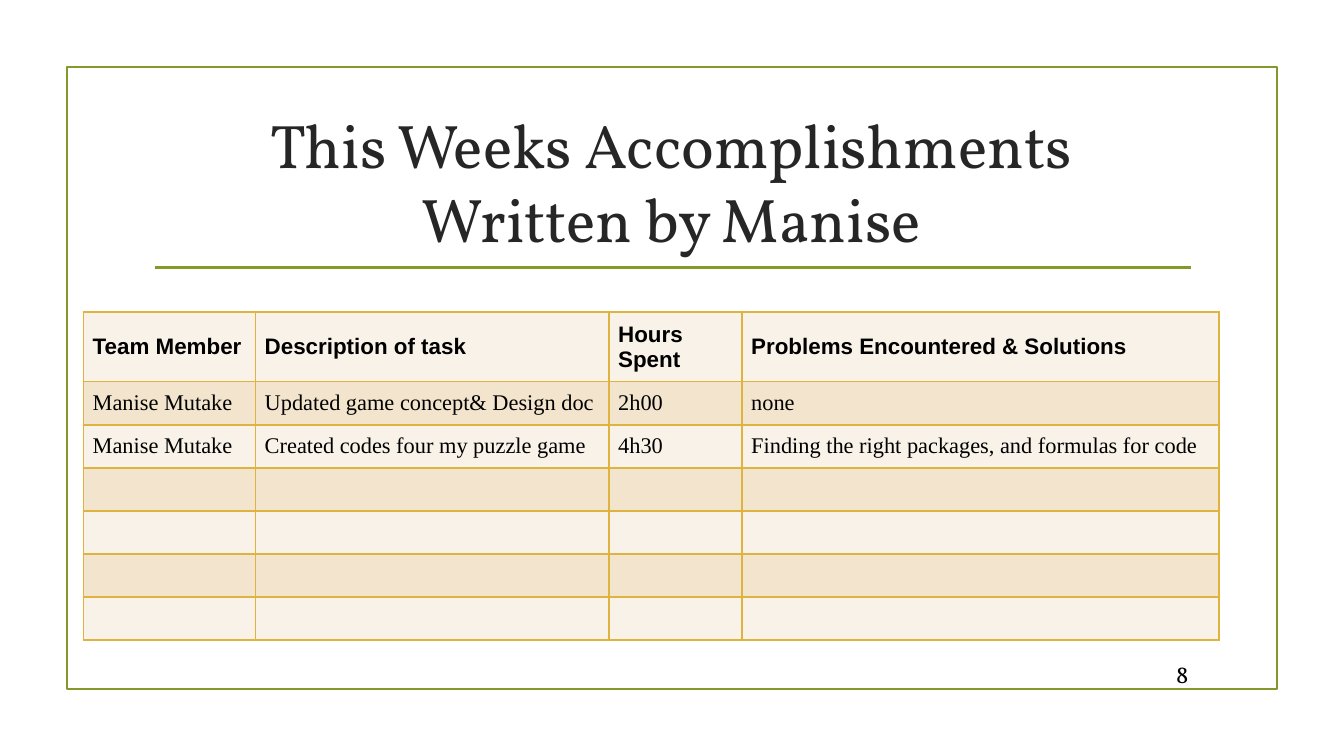
from pptx import Presentation
from pptx.dml.color import RGBColor as RGB
from pptx.enum.shapes import MSO_CONNECTOR as Conn, MSO_SHAPE as Form
from pptx.enum.text import MSO_ANCHOR as Anchor, MSO_AUTO_SIZE as Fit, PP_ALIGN as Align
from pptx.oxml.xmlchemy import OxmlElement as Node
from pptx.util import Inches, Pt

HUES = {"green": "83992A", "gold": "DEB340", "ink": "262626",
        "black": "000000", "light": "F9F2E8", "dark": "F2E4CD"}


def hue(name):
    return RGB.from_string(HUES[name])


class Page:
    serif, head, body = "Vollkorn", "Arial", "Times New Roman"

    def __init__(self, deck):
        self.slide = deck.slides.add_slide(deck.slide_layouts[5])
        self.shapes = self.slide.shapes

    def style(self, para, face, size, color, bold=False, align=Align.LEFT):
        font = para.font
        font.name, font.size, font.bold = face, Pt(size), bold
        font.color.rgb = hue(color)
        para.alignment = align

    def place(self, shape, box):
        shape.left, shape.top, shape.width, shape.height = map(Inches, box)

    def frame(self, *box):
        rect = self.shapes.add_shape(Form.RECTANGLE, *map(Inches, box))
        rect.shadow.inherit = False
        rect.fill.background()
        rect.line.color.rgb = hue("green")
        rect.line.width = Pt(1.25)

    def rule(self, *ends):
        line = self.shapes.add_connector(Conn.STRAIGHT, *map(Inches, ends))
        line.line.color.rgb = hue("green")
        line.line.width = Pt(1.25)
        line._element.spPr.append(Node("a:effectLst"))

    def title(self, text, *box):
        shape = self.shapes.title
        self.place(shape, box)
        frame = shape.text_frame
        frame.text = text
        frame.auto_size, frame.vertical_anchor = Fit.NONE, Anchor.MIDDLE
        self.style(frame.paragraphs[0], self.serif, 33, "ink", align=Align.CENTER)

    def label(self, text, *box):
        frame = self.shapes.add_textbox(*map(Inches, box)).text_frame
        frame.word_wrap, frame.vertical_anchor = True, Anchor.MIDDLE
        frame.text = text
        self.style(frame.paragraphs[0], self.serif, 13, "black", align=Align.RIGHT)

    def border(self, cell):
        props = cell._tc.get_or_add_tcPr()
        for spot, side in enumerate(("lnL", "lnR", "lnT", "lnB")):
            line, fill, tint = (Node("a:" + tag) for tag in (side, "solidFill", "srgbClr"))
            line.set("w", str(Pt(1)))
            tint.set("val", HUES["gold"])
            fill.append(tint)
            line.append(fill)
            props.insert(spot, line)

    def cell(self, cell, text, face, bold, fill):
        cell.text = text
        cell.vertical_anchor = Anchor.MIDDLE
        cell.margin_left = cell.margin_right = Inches(0.07)
        cell.margin_top = cell.margin_bottom = Inches(0.06)
        cell.fill.solid()
        cell.fill.fore_color.rgb = hue(fill)
        self.border(cell)
        para = cell.text_frame.paragraphs[0]
        self.style(para, face, 12, "black", bold)
        if not text:  # keeps empty rows low
            end = Node("a:endParaRPr")
            end.set("sz", "1200")
            para._p.append(end)

    def table(self, rows, left, top, widths, heights):
        box = map(Inches, (left, top, sum(widths), sum(heights)))
        grid = self.shapes.add_table(len(rows), len(widths), *box).table
        for col, width in zip(grid.columns, widths):
            col.width = Inches(width)
        for r, (row, height) in enumerate(zip(rows, heights)):
            grid.rows[r].height = Inches(height)
            face = self.body if r else self.head
            for c, text in enumerate(row):
                self.cell(grid.cell(r, c), text, face, r == 0, "dark" if r % 2 else "light")


# Widescreen, 16 by 9
deck = Presentation()
deck.slide_width, deck.slide_height = Inches(10), Inches(10 * 9 / 16)
page = Page(deck)

# Frame and heading
page.frame(0.5, 0.5, 9, 4.63)
page.rule(1.15, 1.99, 8.86, 1.99)
page.title("This Weeks Accomplishments\vWritten by Manise", 1.06, 0.81, 7.87, 1.07)

# Page number
page.label("8", 8.49, 4.9, 0.45, 0.23)

# Task log, with four rows left open
tasks = [
    ("Team Member", "Description of task", "Hours Spent", "Problems Encountered & Solutions"),
    ("Manise Mutake", "Updated game concept& Design doc", "2h00", "none"),
    ("Manise Mutake", "Created codes four my puzzle game", "4h30",
     "Finding the right packages, and formulas for code"),
] + [("",) * 4] * 4
page.table(tasks, 0.62, 2.32, (1.28, 2.63, 0.99, 3.55), [0.51] + [0.32] * 6)

deck.save("out.pptx")
